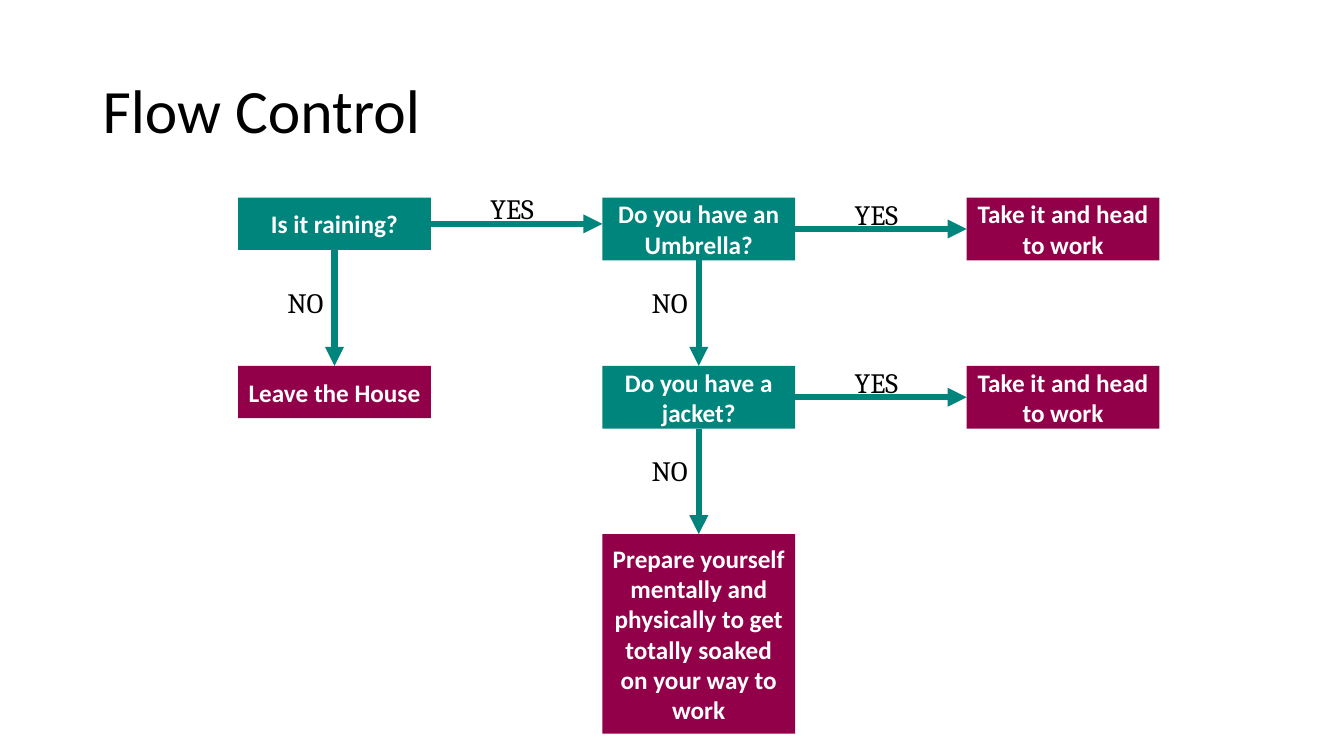
from lxml import etree
from pptx import Presentation
from pptx.dml.color import RGBColor
from pptx.enum.shapes import MSO_CONNECTOR as Connector, MSO_SHAPE as Shape
from pptx.enum.text import MSO_ANCHOR as Anchor, MSO_AUTO_SIZE as AutoSize, PP_ALIGN as Align
from pptx.oxml.ns import qn
from pptx.util import Cm, Pt

COLORS = {"question": "00857D", "outcome": "910048", "arrow": "00857D",
          "light": "FFFFFF", "dark": "000000"}
TITLE_FONT = {"name": "Calibri", "size": Pt(44), "bold": False}
BOX_FONT = {"name": "Calibri", "size": Pt(18), "bold": True}
LABEL_FONT = {"name": "Cambria", "size": Pt(20), "bold": False}

# Flow chart grid, in centimetres
BOX_WIDTH, COLUMN_STEP, ROW_STEP = 4.86, 9.18, 4.24
ONE_LINE, TWO_LINES, SIX_LINES = 1.32, 1.58, 5.03
TOP, LEFT, BOTTOM, RIGHT = range(4)  # connection sites of a rectangle

# name: (column, row, height, kind, text)
STEPS = {
    "raining": (0, 0, ONE_LINE, "question", "Is it raining?"),
    "leave": (0, 1, ONE_LINE, "outcome", "Leave the House"),
    "umbrella": (1, 0, TWO_LINES, "question", "Do you have an Umbrella?"),
    "take umbrella": (2, 0, TWO_LINES, "outcome", "Take it and head to work"),
    "jacket": (1, 1, TWO_LINES, "question", "Do you have a jacket?"),
    "take jacket": (2, 1, TWO_LINES, "outcome", "Take it and head to work"),
    "soaked": (1, 2, SIX_LINES, "outcome", "Prepare yourself mentally and physically "
               "to get totally soaked on your way to work"),
}
# question: (step after YES, step after NO)
ANSWERS = {
    "raining": ("umbrella", "leave"),
    "umbrella": ("take umbrella", "jacket"),
    "jacket": ("take jacket", "soaked"),
}


def write(shape, text, font, color, align):
    paragraph = shape.text_frame.paragraphs[0]
    paragraph.alignment = align
    run = paragraph.add_run()
    run.text = text
    for name, value in font.items():
        setattr(run.font, name, value)
    run.font.color.rgb = RGBColor.from_string(COLORS[color])
    return paragraph


def add_title(slide, left, top, width, height):
    title = slide.shapes.title
    title.left, title.top, title.width, title.height = map(Cm, (left, top, width, height))
    title.text_frame.auto_size = AutoSize.NONE
    title.text_frame.vertical_anchor = Anchor.MIDDLE
    write(title, "Flow Control", TITLE_FONT, "dark", Align.LEFT).line_spacing = 0.9


def add_step(slide, left, top, height, kind, text):
    box = slide.shapes.add_shape(Shape.RECTANGLE, Cm(left), Cm(top), Cm(BOX_WIDTH), Cm(height))
    box.shadow.inherit = False
    box.fill.solid()
    box.fill.fore_color.rgb = RGBColor.from_string(COLORS[kind])
    box.line.fill.background()
    box.text_frame.word_wrap = True
    box.text_frame.vertical_anchor = Anchor.MIDDLE
    write(box, text, BOX_FONT, "light", Align.CENTER)
    return box


def add_arrow(slide, start, start_site, end, end_site):
    arrow = slide.shapes.add_connector(Connector.STRAIGHT, 0, 0, 0, 0)
    arrow.begin_connect(start, start_site)
    arrow.end_connect(end, end_site)
    if start_site == RIGHT:  # keep level despite rounding
        arrow.end_y = arrow.begin_y
    arrow.line.width = Pt(4.5)
    arrow.line.color.rgb = RGBColor.from_string(COLORS["arrow"])
    etree.SubElement(arrow.line._get_or_add_ln(), qn("a:tailEnd"), type="triangle")
    etree.SubElement(arrow._element.spPr, qn("a:effectLst"))


def add_label(slide, text, left, top, width):
    label = slide.shapes.add_textbox(left, top, Cm(width), Cm(1.11))
    label.text_frame.word_wrap = False
    label.text_frame.auto_size = AutoSize.SHAPE_TO_FIT_TEXT
    write(label, text, LABEL_FONT, "dark", Align.LEFT)


def add_flow_chart(slide, left, top):
    # Steps
    boxes = {name: add_step(slide, left + column * COLUMN_STEP, top + row * ROW_STEP, *details)
             for name, (column, row, *details) in STEPS.items()}
    # Arrows and their answers
    for question, (yes, no) in ANSWERS.items():
        box = boxes[question]
        add_arrow(slide, box, RIGHT, boxes[yes], LEFT)
        add_label(slide, "YES", box.left + Cm(6.11), box.top + box.height // 2 - Cm(0.93), 1.83)
        add_arrow(slide, box, BOTTOM, boxes[no], TOP)
        add_label(slide, "NO", box.left + Cm(0.99), box.top + Cm(2.08), 1.6)


presentation = Presentation()
presentation.slide_width, presentation.slide_height = Cm(33.87), Cm(19.05)
slide = presentation.slides.add_slide(presentation.slide_layouts.get_by_name("Title Only"))
add_title(slide, 2.33, 1.01, 29.21, 3.68)
add_flow_chart(slide, 6, 4.98)
presentation.save("out.pptx")
